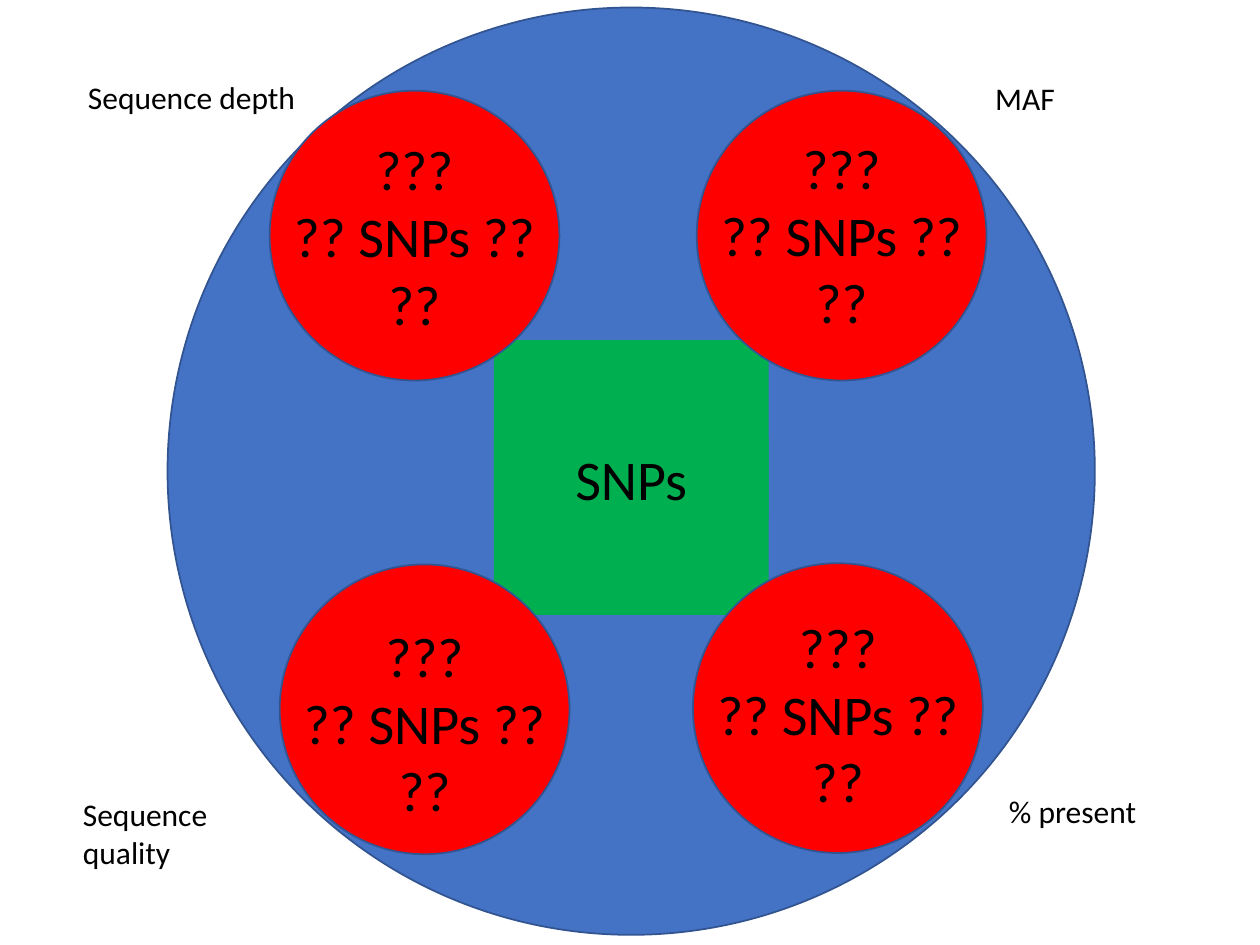
from dataclasses import dataclass

from pptx import Presentation
from pptx.dml.color import RGBColor
from pptx.enum.shapes import MSO_SHAPE
from pptx.enum.text import MSO_AUTO_SIZE, PP_ALIGN
from pptx.util import Inches, Pt

OVAL, RECT = MSO_SHAPE.OVAL, MSO_SHAPE.RECTANGLE
LEFT, CENTER = PP_ALIGN.LEFT, PP_ALIGN.CENTER
GROW = MSO_AUTO_SIZE.SHAPE_TO_FIT_TEXT


@dataclass(frozen=True)
class Theme:
    """Colours, font and type sizes of the slide."""
    blue: str = "4472C4"
    edge: str = "325491"
    green: str = "00B050"
    red: str = "FF0000"
    ink: str = "000000"
    font: str = "Calibri"
    big: int = 32
    small: int = 18


THEME = Theme()
DISC = 2.3
NOTE_W, NOTE_H = 2.76, 1.72
GUESS = ("???", "?? SNPs ??", "??")
DISCS = ((5.53, 0.72, 0.29), (5.5, 4.47, 0.34),
         (2.14, 0.72, 0.3), (2.22, 4.48, 0.4))
LABELS = (("MAF", (7.8, 0.58, 1.8, 0.4)),
          ("% present", (7.91, 6.24, 1.8, 0.4)),
          ("Sequence quality", (0.56, 6.26, 1.9, 0.71)),
          ("Sequence depth", (0.6, 0.57, 1.9, 0.4)))


def add_form(shapes, kind, box, fill, edge=None):
    """Add a filled shape, outlined when an edge colour is given."""
    form = shapes.add_shape(kind, *map(Inches, box))
    form.shadow.inherit = False
    form.fill.solid()
    form.fill.fore_color.rgb = RGBColor.from_string(fill)
    if edge:
        form.line.color.rgb = RGBColor.from_string(edge)
        form.line.width = Pt(1)
    else:
        form.line.fill.background()
    return form


def add_text(shapes, box, lines, size, align, fill=None):
    """Add a text box with one paragraph for each line."""
    note = shapes.add_textbox(*map(Inches, box))
    if fill:
        note.fill.solid()
        note.fill.fore_color.rgb = RGBColor.from_string(fill)
    frame = note.text_frame
    frame.word_wrap = True
    frame.auto_size = GROW
    for i, line in enumerate(lines):
        para = frame.add_paragraph() if i else frame.paragraphs[0]
        para.alignment = align
        run = para.add_run()
        run.text = line
        run.font.name = THEME.font
        run.font.size = Pt(size)
        run.font.color.rgb = RGBColor.from_string(THEME.ink)


def add_core(shapes, box):
    """Group the green square with its title."""
    left, top, width, _ = box
    group = shapes.add_group_shape().shapes
    add_form(group, RECT, box, THEME.green)
    add_text(group, (left, top + 0.78, width, 0.64), ("SNPs",),
             THEME.big, CENTER, THEME.green)


def add_disc(shapes, box, drop):
    """Group a red disc with its text, centred across and dropped from the top."""
    left, top, width, _ = box
    group = shapes.add_group_shape().shapes
    add_form(group, OVAL, box, THEME.red, THEME.edge)
    side = left + (width - NOTE_W) / 2
    add_text(group, (side, top + drop, NOTE_W, NOTE_H), GUESS, THEME.big, CENTER)


def main():
    """Build the slide and save it."""
    deck = Presentation()
    deck.slide_width, deck.slide_height = Inches(10), Inches(7.5)
    shapes = deck.slides.add_slide(deck.slide_layouts[6]).shapes
    add_form(shapes, OVAL, (1.33, 0.06, 7.36, 7.36), THEME.blue, THEME.edge)
    add_core(shapes, (3.92, 2.7, 2.18, 2.18))
    for left, top, drop in DISCS:
        add_disc(shapes, (left, top, DISC, DISC), drop)
    for text, box in LABELS:
        add_text(shapes, box, (text,), THEME.small, LEFT)
    deck.save("out.pptx")


if __name__ == "__main__":
    main()
